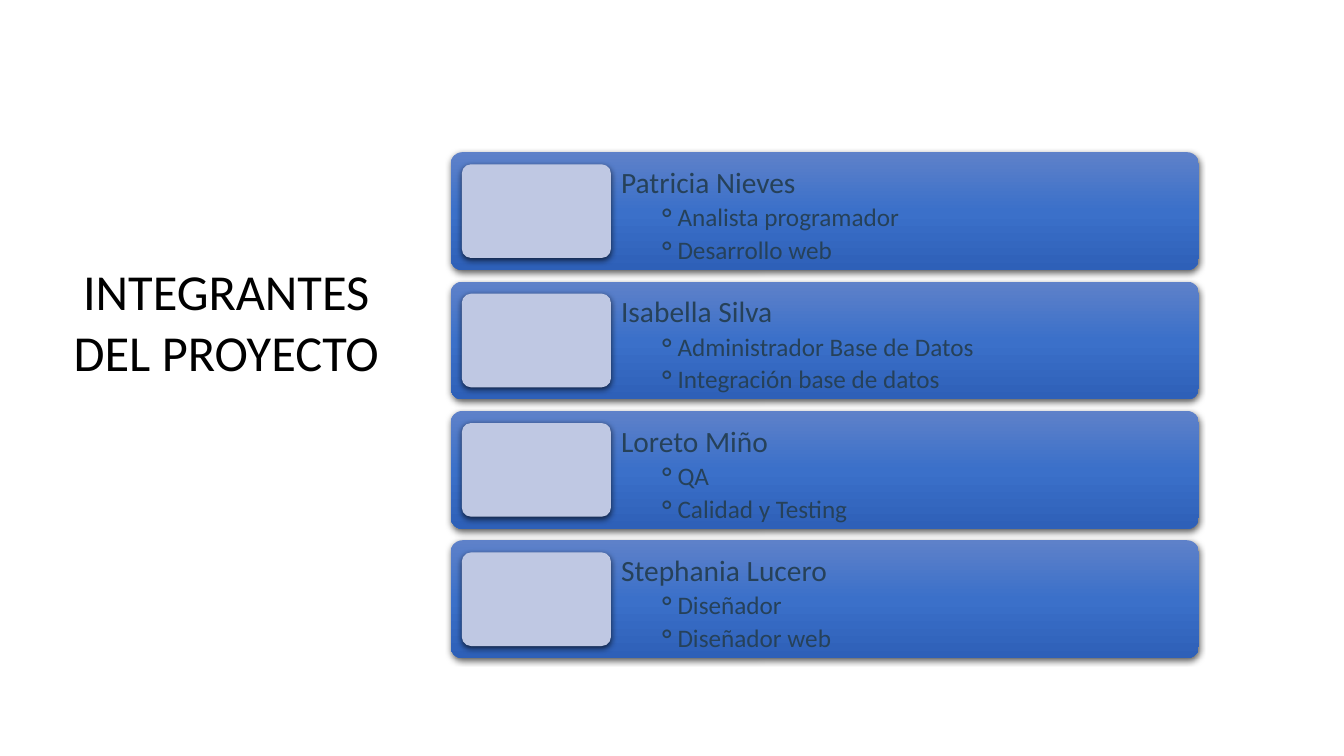
from copy import deepcopy

from lxml.etree import SubElement
from pptx import Presentation
from pptx.dml.color import RGBColor
from pptx.enum.shapes import MSO_SHAPE as Shape
from pptx.enum.text import MSO_ANCHOR as Anchor, PP_ALIGN as Align
from pptx.oxml.ns import qn
from pptx.util import Inches, Pt

BLACK = RGBColor(0x00, 0x00, 0x00)
INK = RGBColor(0x26, 0x41, 0x59)
PALE = RGBColor(0xBF, 0xC8, 0xE3)
CARD_STOPS = [
    (0, RGBColor(0x5E, 0x81, 0xC9)),
    (0.5, RGBColor(0x3B, 0x70, 0xC9)),
    (1, RGBColor(0x2E, 0x60, 0xB8)),
]

MEMBERS = [
    ("Patricia Nieves", ["Analista programador", "Desarrollo web"]),
    ("Isabella Silva", ["Administrador Base de Datos", "Integración base de datos"]),
    ("Loreto Miño", ["QA", "Calidad y Testing"]),
    ("Stephania Lucero", ["Diseñador", "Diseñador web"]),
]
FIRST_TOP, LAST_TOP = 1.51, 5.36
CARD_HEIGHT = 1.17


class SlideBuilder:
    font = "Calibri"

    def __init__(self, prs):
        self.slide = prs.slides.add_slide(prs.slide_layouts[5])

    def run(self, p, text, size, color):
        r = p.add_run()
        r.text = text
        r.font.name = self.font
        r.font.size = Pt(size)
        r.font.color.rgb = color

    def title(self, text, x, y, w, h):
        sp = self.slide.shapes.title
        sp.left, sp.top, sp.width, sp.height = map(Inches, (x, y, w, h))
        tf = sp.text_frame
        tf.word_wrap = True
        tf.vertical_anchor = Anchor.MIDDLE
        p = tf.paragraphs[0]
        p.alignment = Align.CENTER
        self.run(p, text, 36, BLACK)

    def rounded_box(self, x, y, w, h):
        """Add a borderless rounded rectangle with a soft shadow below it."""
        sp = self.slide.shapes.add_shape(
            Shape.ROUNDED_RECTANGLE, *map(Inches, (x, y, w, h)))
        sp.adjustments[0] = 0.1
        sp.line.fill.background()
        sp.shadow.inherit = False
        effects = sp._element.spPr.find(qn("a:effectLst"))
        shadow = SubElement(effects, qn("a:outerShdw"), blurRad=str(Pt(4.5)),
                            dist=str(Pt(1.5)), dir="5400000", rotWithShape="0")
        color = SubElement(shadow, qn("a:srgbClr"), val="000000")
        SubElement(color, qn("a:alpha"), val="63000")
        return sp

    def card(self, x, y, w, h):
        fill = self.rounded_box(x, y, w, h).fill
        fill.gradient()
        fill.gradient_angle = 270
        stops = fill._xPr.find(qn("a:gradFill")).find(qn("a:gsLst"))
        stops.insert(1, deepcopy(stops[0]))
        for stop, (position, color) in zip(fill.gradient_stops, CARD_STOPS):
            stop.position = position
            stop.color.rgb = color

    def portrait_frame(self, x, y, w, h):
        fill = self.rounded_box(x, y, w, h).fill
        fill.solid()
        fill.fore_color.rgb = PALE

    def bullet(self, p):
        pPr = p._p.get_or_add_pPr()
        pPr.set("marL", str(Inches(0.47)))
        pPr.set("indent", str(Inches(-0.12)))
        color = SubElement(pPr, qn("a:buClr"))
        SubElement(color, qn("a:srgbClr"), val=str(INK))
        SubElement(pPr, qn("a:buChar"), char="⚬")

    def member_text(self, name, roles, x, y, w, h):
        tf = self.slide.shapes.add_textbox(*map(Inches, (x, y, w, h))).text_frame
        tf.word_wrap = True
        tf.vertical_anchor = Anchor.TOP
        tf.margin_left = tf.margin_right = Inches(0.09)
        tf.margin_top = tf.margin_bottom = Inches(0.09)
        p = tf.paragraphs[0]
        p.line_spacing = 1.08
        self.run(p, name, 21, INK)
        for role in roles:
            p = tf.add_paragraph()
            p.level = 1
            p.line_spacing = 1.08
            self.bullet(p)
            self.run(p, role, 18, INK)


def main():
    prs = Presentation()
    prs.slide_width, prs.slide_height = Inches(13.33), Inches(7.5)
    s = SlideBuilder(prs)
    s.title("INTEGRANTES DEL PROYECTO", 0.61, 2.53, 3.27, 1.31)

    pitch = (LAST_TOP - FIRST_TOP) / (len(MEMBERS) - 1)
    for i, (name, roles) in enumerate(MEMBERS):
        top = FIRST_TOP + i * pitch
        s.card(4.47, top, 7.42, CARD_HEIGHT)
        s.member_text(name, roles, 6.07, top, 5.82, CARD_HEIGHT)
        s.portrait_frame(4.58, top + 0.12, 1.48, 0.93)

    prs.save("out.pptx")


if __name__ == "__main__":
    main()
